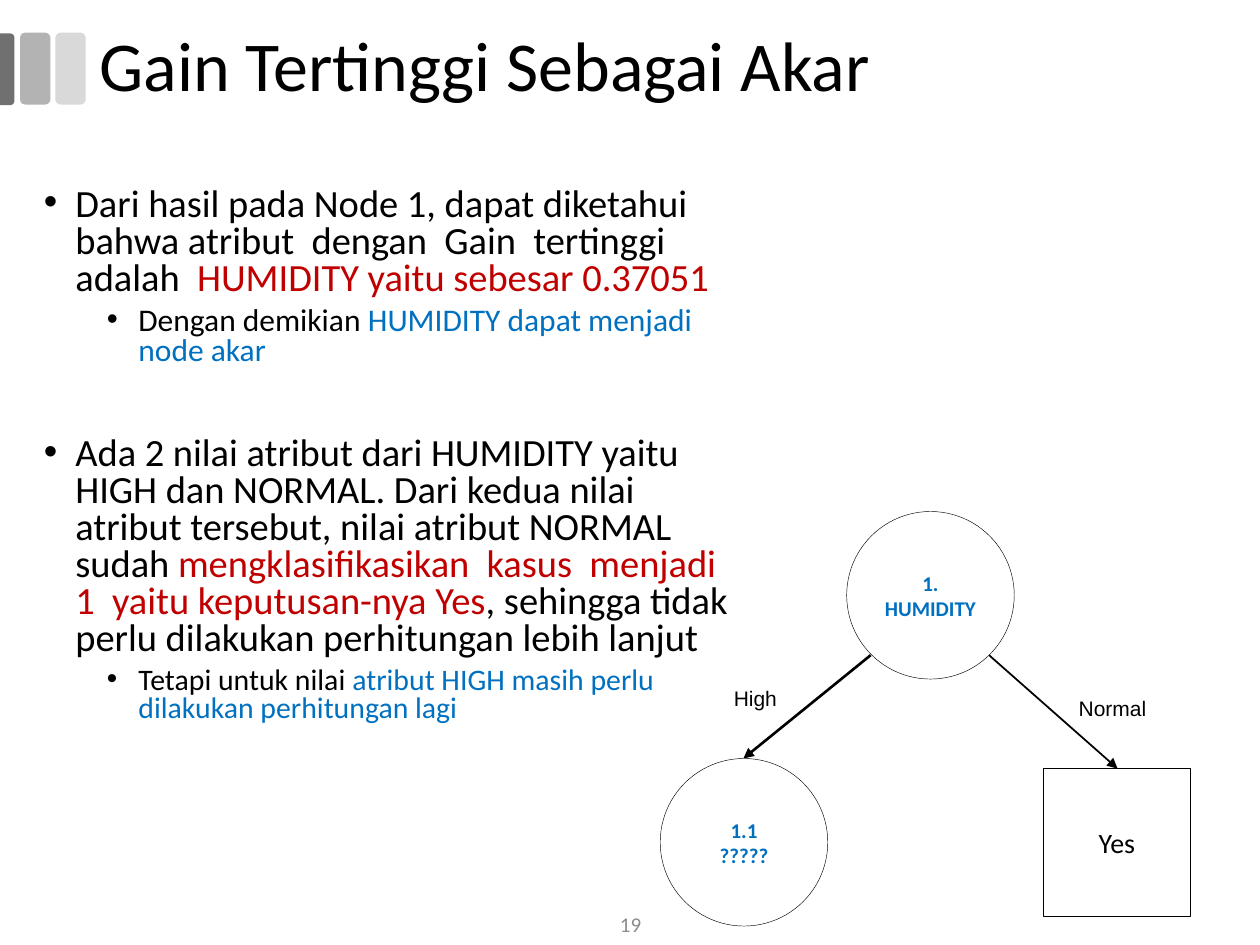
from lxml import etree
from pptx import Presentation
from pptx.dml.color import RGBColor
from pptx.enum.shapes import MSO_CONNECTOR, MSO_SHAPE
from pptx.enum.text import MSO_ANCHOR, MSO_AUTO_SIZE, PP_ALIGN
from pptx.oxml.ns import qn
from pptx.util import Inches, Pt

COLORS = {
    "black": "000000", "red": "C00000", "blue": "0070C0", "page": "8C8C8C",
    "light": "D9D9D9", "mid": "B3B3B3", "dark": "707070",
}


def rgb(name):
    return RGBColor.from_string(COLORS[name])


def add_run(p, text, size=12, color="black", font="Calibri", bold=False):
    r = p.add_run()
    r.text = text
    r.font.size = Pt(size)
    r.font.name = font
    r.font.bold = bold
    r.font.color.rgb = rgb(color)
    return r


class SlideBuilder:
    """Holds the style and the current slide."""

    def __init__(self, prs):
        self.slide = prs.slides.add_slide(prs.slide_layouts[5])
        self.shapes = self.slide.shapes

    def title(self, text, box):
        sp = self.shapes.title
        sp.left, sp.top, sp.width, sp.height = map(Inches, box)
        tf = sp.text_frame
        tf.auto_size = MSO_AUTO_SIZE.NONE
        tf.vertical_anchor = MSO_ANCHOR.MIDDLE
        p = tf.paragraphs[0]
        p.alignment = PP_ALIGN.LEFT
        p.line_spacing = 0.9
        add_run(p, text, size=40)

    def shape(self, kind, box, fill=None, lines=(), **fmt):
        """Filled shape without outline, or outlined shape without fill."""
        sp = self.shapes.add_shape(kind, *map(Inches, box))
        sp.shadow.inherit = False
        if fill:
            sp.fill.solid()
            sp.fill.fore_color.rgb = rgb(fill)
            sp.line.fill.background()
        else:
            sp.fill.background()
            sp.line.color.rgb = rgb("black")
            sp.line.width = Pt(0.25)
        self.write_centred(sp.text_frame, lines, **fmt)
        return sp

    def label(self, text, box, wrap=False, **fmt):
        tf = self.shapes.add_textbox(*map(Inches, box)).text_frame
        tf.word_wrap = wrap
        self.write_centred(tf, [text], **fmt)

    def write_centred(self, tf, lines, **fmt):
        tf.vertical_anchor = MSO_ANCHOR.MIDDLE
        for i, text in enumerate(lines):
            p = tf.add_paragraph() if i else tf.paragraphs[0]
            p.alignment = PP_ALIGN.CENTER
            add_run(p, text, **fmt)

    def bullets(self, items, box):
        """Items are (level, space before, size, [(text, colour), ...])."""
        tf = self.shapes.add_textbox(*map(Inches, box)).text_frame
        tf.word_wrap = True
        for i, (level, before, size, runs) in enumerate(items):
            p = tf.add_paragraph() if i else tf.paragraphs[0]
            p.level = level
            p.line_spacing = 0.8
            p.space_before = Pt(before)
            pPr = p._p.get_or_add_pPr()
            pPr.set("marL", str(Inches(0.25 + 0.5 * level)))
            pPr.set("indent", str(Inches(-0.25)))
            etree.SubElement(pPr, qn("a:buFont")).set("typeface", "Arial")
            etree.SubElement(pPr, qn("a:buChar")).set("char", "•")
            for text, color in runs:
                add_run(p, text, size=size, color=color)

    def arrow(self, start, end, width):
        cn = self.shapes.add_connector(
            MSO_CONNECTOR.STRAIGHT, *map(Inches, start + end))
        cn.line.color.rgb = rgb("black")
        cn.line.width = Pt(width)
        ln = cn.line._get_or_add_ln()
        etree.SubElement(ln, qn("a:tailEnd")).set("type", "triangle")
        etree.SubElement(cn._element.spPr, qn("a:effectLst"))


def main():
    prs = Presentation()
    prs.slide_width, prs.slide_height = Inches(10), Inches(7.5)
    s = SlideBuilder(prs)

    # Corner bars
    for left, fill in ((0.44, "light"), (0.16, "mid")):
        s.shape(MSO_SHAPE.ROUNDED_RECTANGLE, (left, 0.26, 0.24, 0.57), fill)
    edge = s.shape(MSO_SHAPE.ROUND_2_SAME_RECTANGLE,
                   (-0.23, 0.49, 0.57, 0.12), "dark")
    edge.adjustments[0] = 0.29
    edge.rotation = 90

    # Explanation
    s.bullets([
        (0, 0, 22, [
            ("Dari hasil pada Node 1, dapat diketahui bahwa atribut  dengan  "
             "Gain  tertinggi  adalah  ", "black"),
            ("HUMIDITY yaitu sebesar 0.37051", "red")]),
        (1, 5, 18, [
            ("Dengan demikian ", "black"),
            ("HUMIDITY dapat menjadi node akar", "blue")]),
        (0, 39.5, 22, [
            ("Ada 2 nilai atribut dari HUMIDITY yaitu HIGH dan NORMAL. Dari "
             "kedua nilai atribut tersebut, nilai atribut NORMAL sudah ",
             "black"),
            ("mengklasifikasikan  kasus  menjadi  1  yaitu keputusan-nya Yes",
             "red"),
            (", sehingga tidak perlu dilakukan perhitungan lebih lanjut",
             "black")]),
        (1, 5, 17, [
            ("Tetapi untuk nilai ", "black"),
            ("atribut HIGH masih perlu dilakukan perhitungan lagi", "blue")]),
    ], (0.25, 1.44, 5.75, 4.44))

    # Page number and title
    s.label("19", (3.88, 7.17, 2.25, 0.33), wrap=True, color="page")
    s.title("Gain Tertinggi Sebagai Akar", (0.69, 0.17, 9.3, 0.75))

    # Decision tree nodes
    for left, top, lines in ((6.72, 4.06, ["1. HUMIDITY"]),
                             (5.24, 6.02, ["1.1", "?????"])):
        s.shape(MSO_SHAPE.OVAL, (left, top, 1.33, 1.33), lines=lines,
                color="blue", bold=True)
    s.shape(MSO_SHAPE.RECTANGLE, (8.28, 6.1, 1.17, 1.17), lines=["Yes"],
            size=16)

    # Decision tree branches
    s.arrow((6.91, 5.2), (5.9, 6.02), 1.5)
    s.arrow((7.85, 5.2), (8.87, 6.1), 1)
    s.label("High", (5.72, 5.39, 0.55, 0.3), font="Arial")
    s.label("Normal", (8.46, 5.47, 0.74, 0.3), font="Arial")

    prs.save("out.pptx")


if __name__ == "__main__":
    main()
